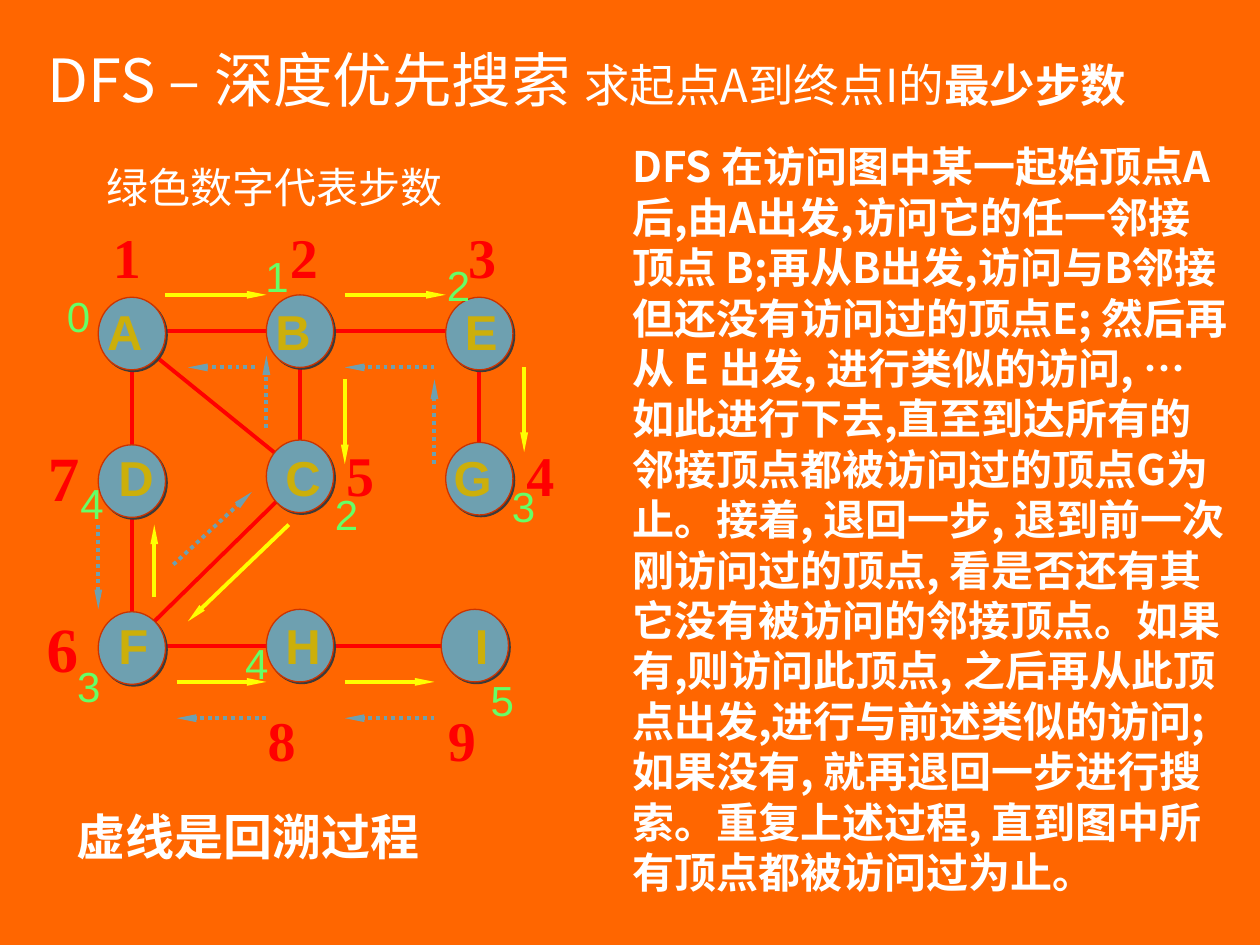
from dataclasses import dataclass

from lxml.etree import SubElement
from pptx import Presentation
from pptx.dml.color import RGBColor
from pptx.enum.dml import MSO_LINE
from pptx.enum.shapes import MSO_CONNECTOR, MSO_SHAPE
from pptx.enum.text import MSO_ANCHOR, MSO_AUTO_SIZE, PP_ALIGN
from pptx.oxml.ns import qn
from pptx.util import Inches, Pt


@dataclass(frozen=True)
class Theme:
    background: str = "FF6600"
    text: str = "FFFFFF"
    node: str = "6EA0B0"
    node_line: str = "CC3300"
    node_shadow: str = "3B3B3B"
    letter: str = "CCAF0A"
    edge: str = "FF0000"
    visit: str = "FFFF00"
    depth: str = "66FF66"
    chinese: str = "Noto Sans CJK SC"
    sans: str = "Arial"
    serif: str = "Times New Roman"
    note: str = "Roboto"
    title_size: int = 34
    subtitle_size: int = 26
    body_size: int = 24
    letter_size: int = 28
    order_size: int = 32
    large_order_size: int = 36


@dataclass(frozen=True)
class Box:
    left: float
    top: float
    width: float
    height: float

    def grid(self, columns, rows):
        return Grid(self, self.width / columns, self.height / rows)

    def emu(self):
        return [Inches(v) for v in (self.left, self.top, self.width, self.height)]


@dataclass(frozen=True)
class Grid:
    box: Box
    column: float
    row: float

    def cell(self, column, row, columns=0, rows=0):
        return Box(self.box.left + column * self.column, self.box.top + row * self.row,
                   columns * self.column, rows * self.row)


THEME = Theme()
SLIDE = Box(0, 0, 10, 7.5)

TITLE_PARTS = [
    ("DFS – 深度优先搜索 ", THEME.title_size, False),
    ("求起点A到终点I的", THEME.subtitle_size, False),
    ("最少步数", THEME.subtitle_size, True),
]
EXPLANATION = (
    "DFS 在访问图中某一起始顶点A 后,由A出发,访问它的任一邻接顶点 B;再从B出发,"
    "访问与B邻接但还没有访问过的顶点E; 然后再从 E 出发, 进行类似的访问, … "
    "如此进行下去,直至到达所有的邻接顶点都被访问过的顶点G为止。接着, 退回一步, "
    "退到前一次刚访问过的顶点, 看是否还有其它没有被访问的邻接顶点。如果有,则访问此顶点, "
    "之后再从此顶点出发,进行与前述类似的访问; 如果没有, 就再退回一步进行搜索。"
    "重复上述过程, 直到图中所有顶点都被访问过为止。"
)

EDGES = [
    (5, 27, 16, 17), (5, 5, 17, 14), (18, 5, 18, 12), (5, 29, 31, 29),
    (3, 6, 3, 27), (5, 3, 31, 3), (34, 6, 34, 13),
]
VISITS = [
    (6, 0, 15, 0), (22, 0, 31, 0), (38, 6, 38, 13), (22, 7, 22, 14),
    (17, 19, 8, 27), (5, 25, 5, 19), (7, 32, 15, 32), (22, 32, 30, 32),
]
BACKTRACKS = [
    (30, 14, 30, 7), (30, 6, 22, 6), (15, 11, 15, 5), (14, 6, 8, 6),
    (0, 19, 0, 26), (15, 35, 7, 35), (30, 35, 22, 35), (6.7, 22.3, 13.7, 16.3),
]
NODES = [
    ("A", 0, 0.2, -0.3, 0), ("B", 15, 0, 14.7, 0), ("E", 31, 0.2, 31.6, 0),
    ("D", 0, 12.4, 0.7, 12.1), ("C", 15, 12, 15.6, 12.1), ("G", 31, 12.2, 30.6, 12.1),
    ("F", 0, 26.2, 0.7, 26), ("H", 15, 26, 15.6, 26), ("I", 30.6, 26, 32.5, 26),
]
VISIT_ORDER = [
    ("1", 0.2, -6.5), ("2", 16, -6.5), ("3", 31.9, -6.5), ("4", 37.1, 11.5),
    ("5", 21, 11.5), ("8", 14, 33.4), ("9", 30.1, 33.4),
]
LARGE_VISIT_ORDER = [("7", -5.6, 11.4), ("6", -5.7, 25.5)]
DEPTHS = [
    ("0", -3.9, -0.9), ("1", 13.8, -4.2), ("2", 30, -3.4), ("3", 35.8, 14.8),
    ("2", 20, 15.5), ("3", -3, 29.7), ("4", -2.7, 14.6), ("4", 12, 27.8),
    ("5", 33.9, 30.9),
]


def rgb(color):
    return RGBColor.from_string(color)


def style_run(run, size, color, face, bold=False):
    run.font.size = Pt(size)
    run.font.bold = bold
    run.font.name = face
    run.font.color.rgb = rgb(color)
    SubElement(run.font._element, qn("a:ea"), typeface=THEME.chinese)


def add_label(slide, box, words, size, color, face, bold=False, wrap=True):
    frame = slide.shapes.add_textbox(*box.emu()).text_frame
    frame.word_wrap = wrap
    frame.text = words
    style_run(frame.paragraphs[0].runs[0], size, color, face, bold)
    return frame.paragraphs[0]


def add_line(slide, grid, ends, color, arrow=False, dotted=False):
    start, end = grid.cell(*ends[:2]), grid.cell(*ends[2:])
    points = [Inches(v) for v in (start.left, start.top, end.left, end.top)]
    connector = slide.shapes.add_connector(MSO_CONNECTOR.STRAIGHT, *points)
    connector.line.color.rgb = rgb(color)
    connector.line.width = Pt(2.25)
    if dotted:
        connector.line.dash_style = MSO_LINE.ROUND_DOT
    if arrow:
        SubElement(connector.line._get_or_add_ln(), qn("a:tailEnd"),
                   type="triangle", w="sm", len="lg")
    SubElement(connector._element.spPr, qn("a:effectLst"))


def add_node(slide, box):
    node = slide.shapes.add_shape(MSO_SHAPE.OVAL, *box.emu())
    node.fill.solid()
    node.fill.fore_color.rgb = rgb(THEME.node)
    node.line.color.rgb = rgb(THEME.node_line)
    node.line.width = Pt(0.75)
    node.shadow.inherit = False
    effects = node._element.spPr.find(qn("a:effectLst"))
    shadow = SubElement(effects, qn("a:outerShdw"), dist=str(Pt(1.4)),
                        dir="2700000", algn="ctr", rotWithShape="0")
    SubElement(shadow, qn("a:srgbClr"), val=THEME.node_shadow)


def fill_title(slide, box):
    title = slide.shapes.title
    title.left, title.top, title.width, title.height = box.emu()
    frame = title.text_frame
    frame.word_wrap = True
    frame.auto_size = MSO_AUTO_SIZE.NONE
    frame.vertical_anchor = MSO_ANCHOR.MIDDLE
    heading = frame.paragraphs[0]
    heading.alignment = PP_ALIGN.LEFT
    for words, size, bold in TITLE_PARTS:
        run = heading.add_run()
        run.text = words
        style_run(run, size, THEME.text, THEME.chinese, bold)


def add_explanation(slide, box):
    add_label(slide, box, EXPLANATION, THEME.body_size, THEME.text, THEME.chinese, bold=True)


def add_graph(slide, box):
    grid = box.grid(38, 35)
    for ends in EDGES:
        add_line(slide, grid, ends, THEME.edge)
    for letter, column, row, letter_column, letter_row in NODES:
        add_node(slide, grid.cell(column, row, 6, 6))
        add_label(slide, grid.cell(letter_column, letter_row, 5.4, 5.9), letter,
                  THEME.letter_size, THEME.letter, THEME.sans, bold=True)
    for ends in VISITS:
        add_line(slide, grid, ends, THEME.visit, arrow=True)
    for ends in BACKTRACKS:
        add_line(slide, grid, ends, THEME.node, arrow=True, dotted=True)
    for orders, size, rows in ((VISIT_ORDER, THEME.order_size, 6.7),
                               (LARGE_VISIT_ORDER, THEME.large_order_size, 7.3)):
        for number, column, row in orders:
            add_label(slide, grid.cell(column, row, 4.8, rows), number,
                      size, THEME.edge, THEME.serif, bold=True)
    for number, column, row in DEPTHS:
        add_label(slide, grid.cell(column, row, 3.8, 5.2), number,
                  THEME.body_size, THEME.depth, THEME.sans)


def add_legend(slide, depth_box, backtrack_box):
    add_label(slide, depth_box, "绿色数字代表步数", THEME.body_size, THEME.text, THEME.sans)
    backtrack = add_label(slide, backtrack_box, "虚线是回溯过程", THEME.letter_size,
                          THEME.text, THEME.note, bold=True, wrap=False)
    backtrack.alignment = PP_ALIGN.CENTER


def main():
    deck = Presentation()
    deck.slide_width, deck.slide_height = Inches(SLIDE.width), Inches(SLIDE.height)
    slide = deck.slides.add_slide(deck.slide_layouts[5])
    slide.background.fill.solid()
    slide.background.fill.fore_color.rgb = rgb(THEME.background)
    page = SLIDE.grid(100, 75)
    fill_title(slide, page.cell(2.8, 2.1, 90, 8.3))
    add_explanation(slide, page.cell(49.2, 10.7, 49.6, 65))
    add_graph(slide, page.cell(7.8, 23.4, 33.8, 33.6))
    add_legend(slide, page.cell(7.5, 12.3, 37, 5), page.cell(5.1, 63.5, 29.2, 5.7))
    deck.save("out.pptx")


if __name__ == "__main__":
    main()
